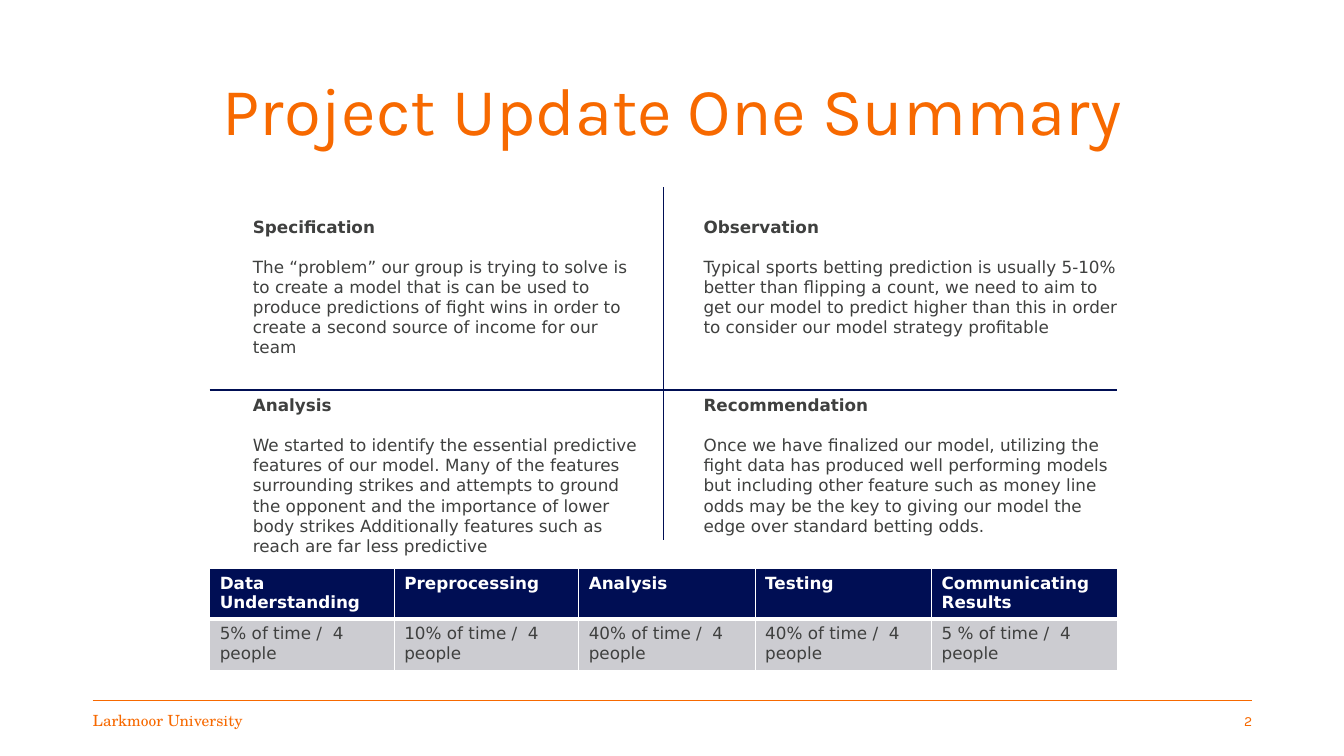
from lxml import etree
from pptx import Presentation
from pptx.dml.color import RGBColor
from pptx.enum.shapes import MSO_CONNECTOR
from pptx.enum.text import MSO_ANCHOR, MSO_AUTO_SIZE, PP_ALIGN
from pptx.oxml.ns import qn
from pptx.util import Pt

PX = 9144
LINE = MSO_CONNECTOR.STRAIGHT
MIDDLE = MSO_ANCHOR.MIDDLE
FIXED = MSO_AUTO_SIZE.NONE
LEFT, CENTER, RIGHT = PP_ALIGN.LEFT, PP_ALIGN.CENTER, PP_ALIGN.RIGHT
ORANGE, NAVY, GREY, PALE, WHITE = "F76900", "000E54", "3F403F", "CCCCD1", "FFFFFF"
SANS, KARLA, SERIF = "DejaVu Sans", "Karla", "TeX Gyre Schola"

NOTES = [
    ("Specification", "The “problem” our group is trying to solve is to create a model that is can be used to produce predictions of fight wins in order to create a second source of income for our team"),
    ("Observation", "Typical sports betting prediction is usually 5-10% better than flipping a count, we need to aim to get our model to predict higher than this in order to consider our model strategy profitable"),
    ("Analysis", "We started to identify the essential predictive features of our model. Many of the features surrounding strikes and attempts to ground the opponent and the importance of lower body strikes Additionally features such as reach are far less predictive"),
    ("Recommendation", "Once we have finalized our model, utilizing the fight data has produced well performing models but including other feature such as money line odds may be the key to giving our model the edge over standard betting odds."),
]
STAGES = [
    ("Data Understanding", "5% of time /  4 people", 183),
    ("Preprocessing", "10% of time /  4 people", 183),
    ("Analysis", "40% of time /  4 people", 175),
    ("Testing", "40% of time /  4 people", 175),
    ("Communicating Results", "5 % of time /  4 people", 184),
]


def px(*nums):
    return [n * PX for n in nums]


def tint(color, code):
    color.rgb = RGBColor.from_string(code)


def style(para, face, size, code, bold=False):
    for run in para.runs:
        run.font.name = face
        run.font.size = Pt(size)
        run.font.bold = bold
        tint(run.font.color, code)


def rule(slide, x1, y1, x2, y2, code, width):
    line = slide.shapes.add_connector(LINE, *px(x1, y1, x2, y2))
    line.line.width = Pt(width)
    tint(line.line.color, code)
    etree.SubElement(line._element.spPr, qn("a:effectLst"))


def label(shape, text, face, size, align):
    frame = shape.text_frame
    frame.text = text
    frame.word_wrap = True
    frame.auto_size = FIXED
    frame.vertical_anchor = MIDDLE
    frame.margin_left = frame.margin_right = 0
    frame.margin_top = frame.margin_bottom = 5 * PX
    para = frame.paragraphs[0]
    para.alignment = align
    style(para, face, size, ORANGE)
    return para


def title(slide, x, y, w, h):
    shape = slide.shapes.title
    shape.left, shape.top, shape.width, shape.height = px(x, y, w, h)
    label(shape, "Project Update One Summary", KARLA, 48, CENTER).line_spacing = 0.9


def footer(slide, x, y, w, h):
    rule(slide, x, y, x + w, y, ORANGE, 0.5)
    wide = 210
    name = slide.shapes.add_textbox(*px(x, y, wide, h))
    label(name, "Larkmoor University", SERIF, 11, LEFT)
    page = slide.shapes.add_textbox(*px(x + w - wide, y, wide, h))
    label(page, "2", KARLA, 10, RIGHT)


def note(slide, x, y, w, h, head, body):
    frame = slide.shapes.add_textbox(*px(x, y, w, h)).text_frame
    frame.word_wrap = True
    top, text = frame.paragraphs[0], frame.add_paragraph()
    top.text, text.text = head, body
    text.space_before = Pt(14)
    style(top, SANS, 12, GREY, True)
    style(text, SANS, 12, GREY)


def matrix(slide, x, y, w, h):
    rule(slide, x, y + 201, x + w, y + 201, NAVY, 1)
    rule(slide, x + w // 2, y, x + w // 2, y + h, NAVY, 1)
    cols = [(33, 408), (480, 437)]
    rows = [(24, 151), (201, 172)]
    for i, (head, body) in enumerate(NOTES):
        left, wide = cols[i % 2]
        top, high = rows[i // 2]
        note(slide, x + left, y + top, wide, high, head, body)


def edge(cell, side, width):
    props = cell._tc.get_or_add_tcPr()
    line = etree.SubElement(props, qn("a:" + side), w=str(Pt(width)))
    fill = etree.SubElement(line, qn("a:solidFill"))
    etree.SubElement(fill, qn("a:srgbClr"), val=WHITE)


def fill_cell(cell, text, head):
    for side in ("lnL", "lnR", "lnT", "lnB"):
        thick = side == ("lnB" if head else "lnT")
        edge(cell, side, 3 if thick else 1)
    cell.fill.solid()
    tint(cell.fill.fore_color, NAVY if head else PALE)
    cell.text = text
    style(cell.text_frame.paragraphs[0], SANS, 12, WHITE if head else GREY, head)


def stages(slide, x, y, w, h):
    grid = slide.shapes.add_table(2, len(STAGES), *px(x, y, w, h)).table
    grid.horz_banding = False
    grid.rows[0].height, grid.rows[1].height = px(49, h - 49)
    for i, (name, share, wide) in enumerate(STAGES):
        grid.columns[i].width = wide * PX
        fill_cell(grid.cell(0, i), name, True)
        fill_cell(grid.cell(1, i), share, False)


def main():
    deck = Presentation()
    deck.slide_width, deck.slide_height = px(1333, 750)
    slide = deck.slides.add_slide(deck.slide_layouts[5])
    footer(slide, 92, 695, 1150, 40)
    title(slide, 92, 40, 1150, 145)
    matrix(slide, 208, 186, 900, 350)
    stages(slide, 208, 564, 900, 100)
    deck.save("out.pptx")


if __name__ == "__main__":
    main()
